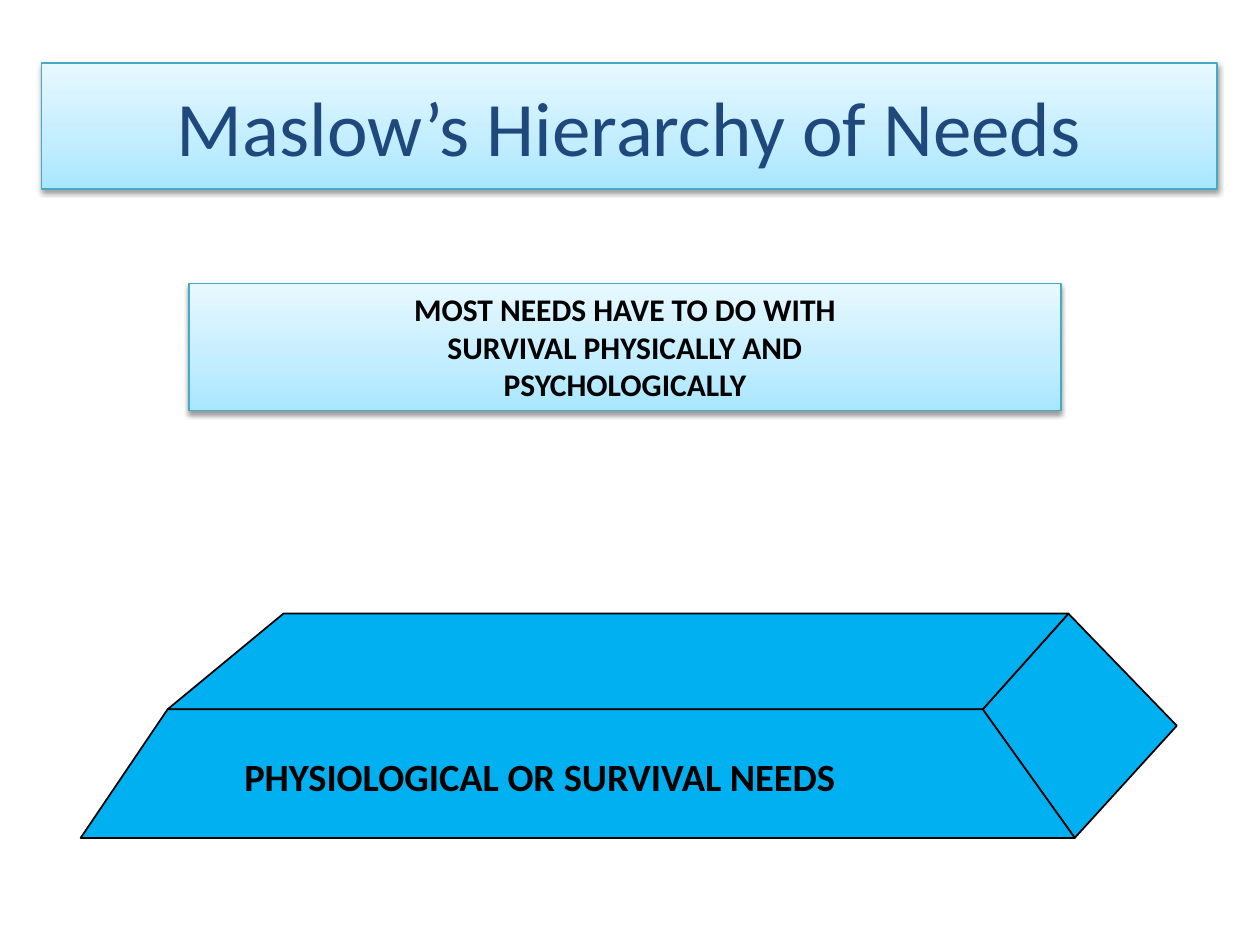
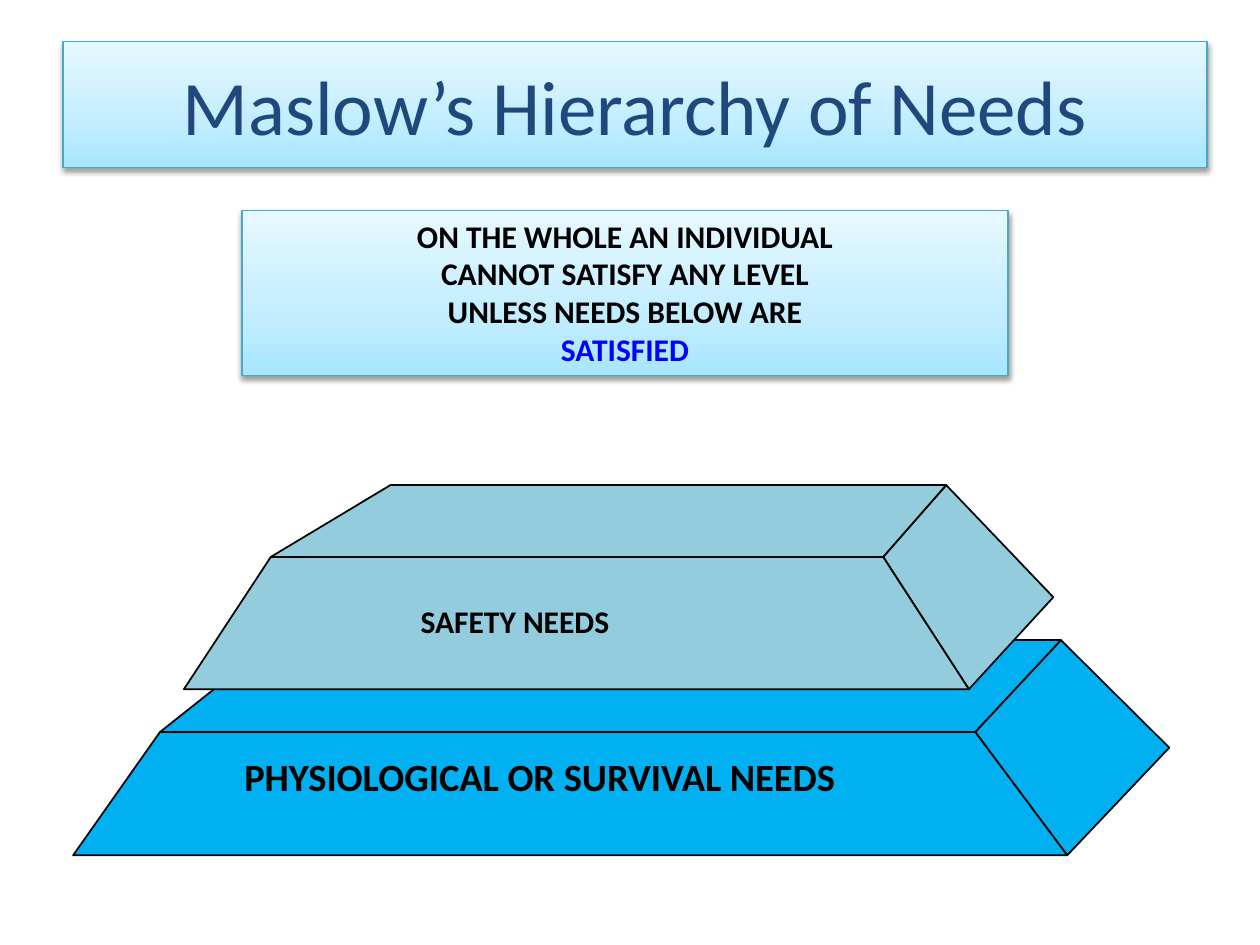
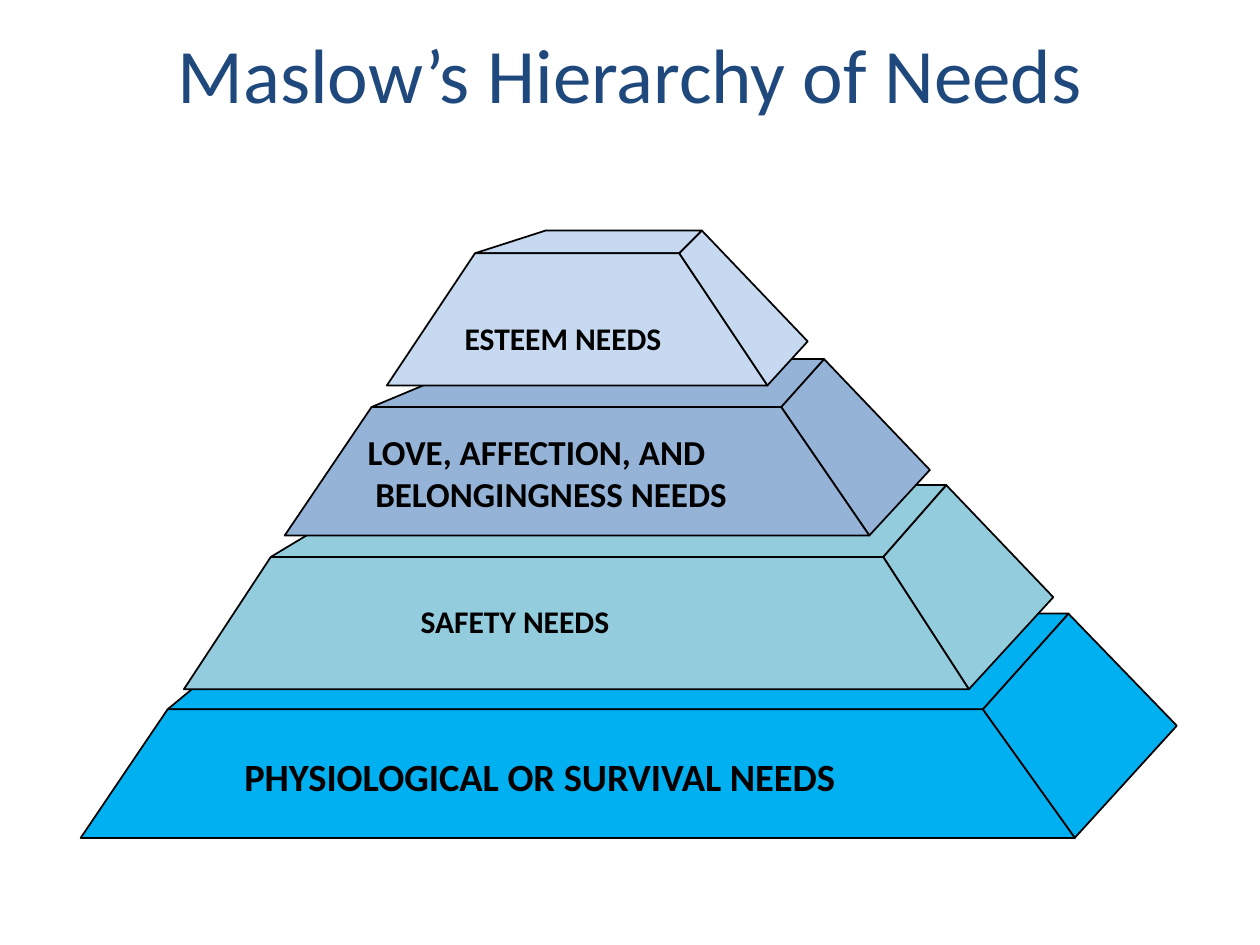
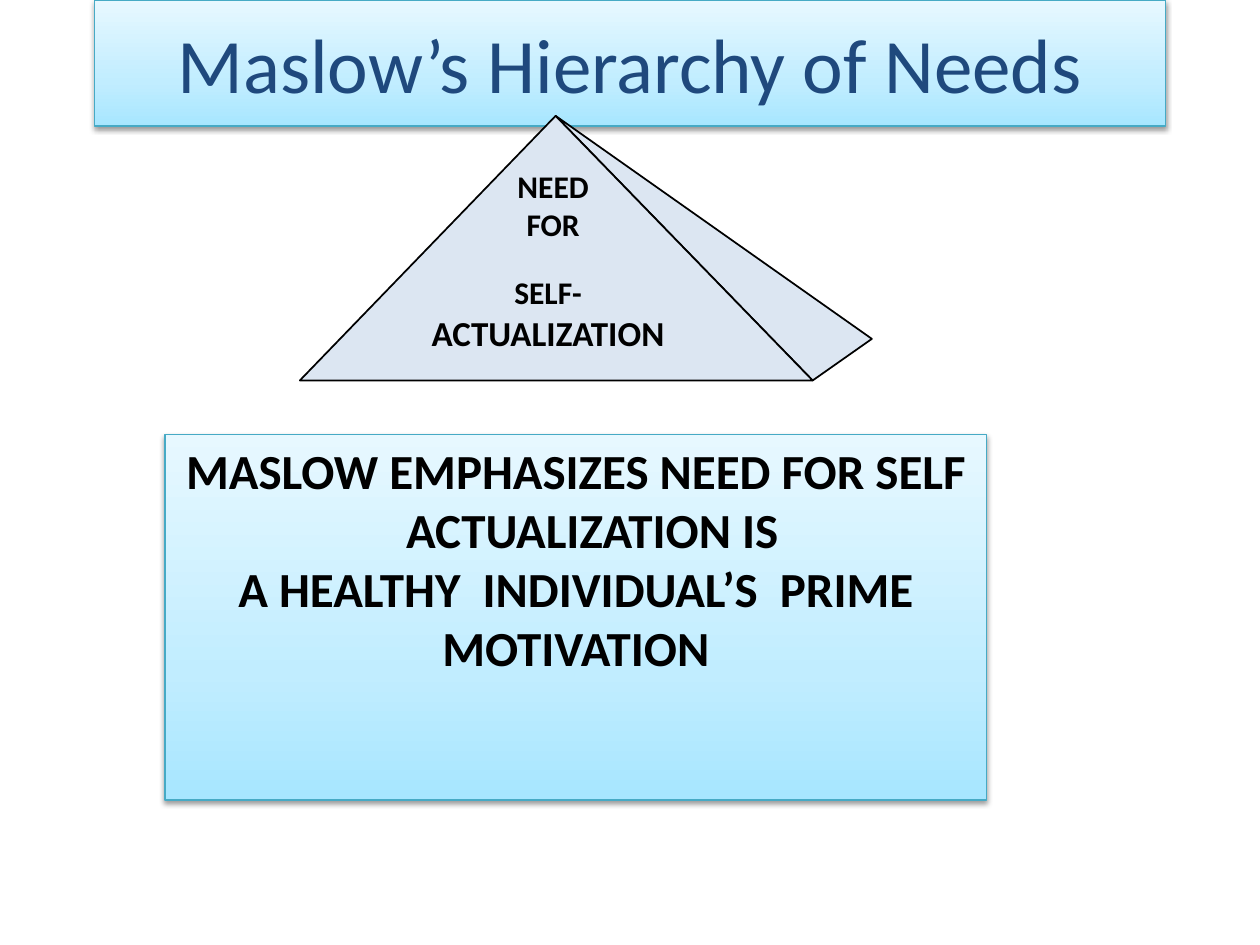
"""Build four slides on Maslow's hierarchy of needs."""
from lxml.etree import SubElement
from pptx import Presentation
from pptx.dml.color import RGBColor
from pptx.enum.shapes import MSO_SHAPE
from pptx.enum.text import MSO_ANCHOR, MSO_AUTO_SIZE, PP_ALIGN
from pptx.oxml.ns import qn
from pptx.util import Inches, Pt

FONT = "Calibri"
TITLE = "Maslow’s Hierarchy of Needs"
COLORS = {
    "title": "1F497D", "text": "000000", "accent": "0000FF", "outline": "000000",
    "panel_bottom": "A7E6FF", "panel_middle": "C1EDFF", "panel_top": "E7F8FF",
    "panel_line": "46AAC5", "shadow": "000000",
    "survival": "00B0F0", "safety": "93CDDD", "love": "95B3D7",
    "esteem": "C6D9F1", "self": "DCE6F2",
}
PANEL_STOPS = [(0, "panel_bottom"), (35, "panel_middle"), (100, "panel_top")]
INDENTS = {"BELONGINGNESS NEEDS": 0.06, "ACTUALIZATION IS": 0.26}
ACCENTED = {"SATISFIED"}

# Corners: front bottom left and right, front top left and right, back left and right, side.
TIERS = {
    "survival": [(0.64, 6.65), (8.53, 6.65), (1.33, 5.63), (7.8, 5.63), (2.25, 4.87), (8.48, 4.87), (9.34, 5.76)],
    "safety": [(1.46, 5.47), (7.69, 5.47), (2.15, 4.42), (7.01, 4.42), (3.1, 3.85), (7.51, 3.85), (8.36, 4.74)],
    "love": [(2.26, 4.25), (6.9, 4.25), (2.95, 3.23), (6.2, 3.23), (3.86, 2.85), (6.54, 2.85), (7.38, 3.73)],
    "esteem": [(3.07, 3.06), (6.09, 3.06), (3.77, 2.01), (5.39, 2.01), (4.33, 1.83), (5.57, 1.83), (6.41, 2.71)],
}
TIER_FACES = [(1, 3, 5, 6), (2, 3, 5, 4), (0, 1, 3, 2)]
faces = {
    tier: [(tier, [corners[i] for i in face]) for face in TIER_FACES]
    for tier, corners in TIERS.items()
}
lowered_survival = [
    (tier, [(x - 0.06, 5.08 + (y - 4.87) * 0.96) for x, y in outline])
    for tier, outline in faces["survival"]
]
peak = [
    ("self", [(6.45, 3.02), (6.92, 2.69), (4.41, 0.92)]),
    ("self", [(2.38, 3.02), (6.45, 3.02), (4.41, 0.92)]),
]

LEFT, CENTER = PP_ALIGN.LEFT, PP_ALIGN.CENTER
survival_label = ((1.84, 5.93, 6.11, 0.46), LEFT, 22, ["PHYSIOLOGICAL OR SURVIVAL NEEDS"])
safety_label = ((3.24, 4.73, 2.71, 0.5), LEFT, 18, ["SAFETY NEEDS"])
love_label = ((2.82, 3.37, 3.68, 0.76), LEFT, 20, ["LOVE, AFFECTION, AND", "BELONGINGNESS NEEDS"])
esteem_label = ((3.59, 2.48, 2.14, 0.4), LEFT, 18, ["ESTEEM NEEDS"])
self_label = ((3.06, 2.12, 2.58, 0.83), CENTER, 18, ["SELF-", "ACTUALIZATION"])
need_label = ((3.83, 1.28, 1.12, 0.9), CENTER, 18, ["NEED", "FOR"])

SLIDES = [
    {
        "title_box": (0.33, 0.5, 9.33, 1), "title_panel": True,
        "faces": faces["survival"],
        "labels": [survival_label],
        "message": ((1.5, 2.25, 6.92, 1.01), CENTER, 18, [
            "MOST NEEDS HAVE TO DO WITH", "SURVIVAL PHYSICALLY AND", "PSYCHOLOGICALLY"]),
    },
    {
        "title_box": (0.5, 0.33, 9.08, 1), "title_panel": True,
        "faces": lowered_survival + faces["safety"],
        "labels": [survival_label, safety_label],
        "message": ((1.92, 1.67, 6.08, 1.31), CENTER, 18, [
            "ON THE WHOLE AN INDIVIDUAL", "CANNOT SATISFY ANY LEVEL",
            "UNLESS NEEDS BELOW ARE", "SATISFIED"]),
    },
    {
        "title_box": (0.75, 0.08, 8.5, 1), "title_panel": False,
        "faces": [face for tier in TIERS for face in faces[tier]],
        "labels": [survival_label, safety_label, love_label, esteem_label],
        "message": None,
    },
    {
        "title_box": (0.75, 0, 8.5, 1), "title_panel": True,
        "faces": peak,
        "labels": [self_label, need_label],
        "message": ((1.31, 3.45, 6.52, 2.9), CENTER, 28, [
            "MASLOW EMPHASIZES NEED FOR SELF", "ACTUALIZATION IS",
            "A HEALTHY  INDIVIDUAL’S  PRIME", "MOTIVATION"]),
    },
]


def style_panel(panel):
    properties = panel.element.spPr
    gradient = SubElement(properties, qn("a:gradFill"), rotWithShape="1")
    stops = SubElement(gradient, qn("a:gsLst"))
    for position, color in PANEL_STOPS:
        stop = SubElement(stops, qn("a:gs"), pos=str(position * 1000))
        SubElement(stop, qn("a:srgbClr"), val=COLORS[color])
    SubElement(gradient, qn("a:lin"), ang=str(270 * 60000), scaled="0")
    panel.line.color.rgb = RGBColor.from_string(COLORS["panel_line"])
    panel.line.width = Pt(0.75)
    panel.shadow.inherit = False
    shadow = SubElement(
        properties.find(qn("a:effectLst")), qn("a:outerShdw"), blurRad=str(Pt(3.1)),
        dist=str(Pt(1.6)), dir=str(90 * 60000), rotWithShape="0")
    shadow_color = SubElement(shadow, qn("a:srgbClr"), val=COLORS["shadow"])
    SubElement(shadow_color, qn("a:alpha"), val="38000")


def write_lines(frame, lines, size, alignment):
    frame.text = "\n".join(lines)
    for paragraph in frame.paragraphs:
        line = paragraph.text
        paragraph.alignment = alignment
        paragraph.font.name = FONT
        paragraph.font.size = Pt(20 if line == "ACTUALIZATION" else size)
        paragraph.font.bold = True
        color = COLORS["accent" if line in ACCENTED else "text"]
        paragraph.font.color.rgb = RGBColor.from_string(color)
        if line in INDENTS:
            paragraph._p.get_or_add_pPr().set("marL", str(Inches(INDENTS[line])))


prs = Presentation()
prs.slide_width, prs.slide_height = Inches(10), Inches(7.5)
title_only = prs.slide_layouts[5]

for content in SLIDES:
    slide = prs.slides.add_slide(title_only)

    title = slide.shapes.title
    title.left, title.top, title.width, title.height = map(Inches, content["title_box"])
    title.text_frame.text = TITLE
    title.text_frame.auto_size = MSO_AUTO_SIZE.NONE
    title.text_frame.vertical_anchor = MSO_ANCHOR.MIDDLE
    heading = title.text_frame.paragraphs[0]
    heading.alignment = CENTER
    heading.font.name = FONT
    heading.font.size = Pt(44)
    heading.font.color.rgb = RGBColor.from_string(COLORS["title"])
    if content["title_panel"]:
        style_panel(title)

    for tier, outline in content["faces"]:
        corners = [(Inches(x), Inches(y)) for x, y in outline]
        builder = slide.shapes.build_freeform(*corners[0])
        builder.add_line_segments(corners[1:], close=True)
        face = builder.convert_to_shape()
        face.shadow.inherit = False
        face.fill.solid()
        face.fill.fore_color.rgb = RGBColor.from_string(COLORS[tier])
        face.line.color.rgb = RGBColor.from_string(COLORS["outline"])
        face.line.width = Pt(1)

    for box, alignment, size, lines in content["labels"]:
        label = slide.shapes.add_textbox(*map(Inches, box))
        label.text_frame.word_wrap = False
        label.text_frame.auto_size = MSO_AUTO_SIZE.SHAPE_TO_FIT_TEXT
        write_lines(label.text_frame, lines, size, alignment)

    if content["message"]:
        box, alignment, size, lines = content["message"]
        message = slide.shapes.add_shape(MSO_SHAPE.RECTANGLE, *map(Inches, box))
        style_panel(message)
        message.text_frame.word_wrap = True
        message.text_frame.vertical_anchor = MSO_ANCHOR.TOP
        write_lines(message.text_frame, lines, size, alignment)

prs.save("out.pptx")
